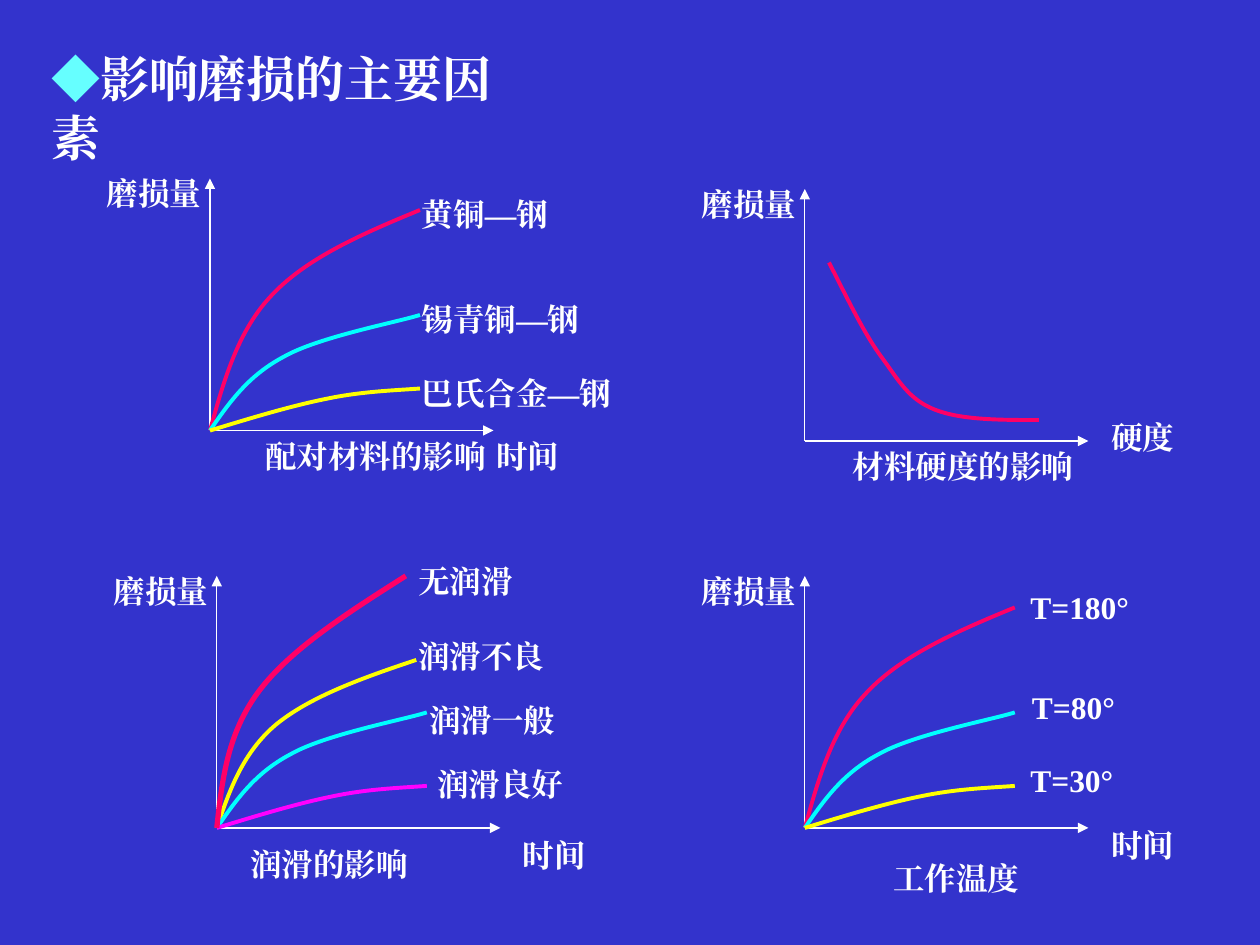
from pptx import Presentation
from pptx.dml.color import RGBColor
from pptx.enum.lang import MSO_LANGUAGE_ID
from pptx.enum.shapes import MSO_CONNECTOR
from pptx.enum.text import MSO_AUTO_SIZE
from pptx.oxml.ns import qn
from pptx.util import Inches, Pt
from lxml import etree

STRAIGHT = MSO_CONNECTOR.STRAIGHT
GROW = MSO_AUTO_SIZE.SHAPE_TO_FIT_TEXT
ENGLISH = MSO_LANGUAGE_ID.ENGLISH_US
COLS, ROWS = 120, 90
WHITE, BLUE, AQUA = "FFFFFF", "3333CC", "66FFFF"
RED, CYAN, YELLOW, MAGENTA = "FF0066", "00FFFF", "FFFF00", "FF00FF"

# Curves: cells right of and above the axis origin; a start point, then
# three points (two handles and an end) for each Bezier segment.
STEEP = [(0, 0), (1.33, 4.8), (2.67, 9.6), (6, 13), (9.33, 16.5), (14.67, 18.8), (20, 21)]
MEDIUM = [(0, 0), (1.8, 2.6), (3.6, 5.2), (7, 7), (10.3, 8.9), (17.8, 10.3), (20, 11)]
FLAT = [(0, 0), (3.83, 1.17), (7.67, 2.33), (11, 3), (14.3, 3.7), (17.2, 3.8), (20, 4)]
POOR = [(0, 0), (1.2, 3.6), (2.5, 7.2), (5.65, 9.85), (8.9, 12.5), (13.9, 14.3), (19, 16)]
DRY = [(0, 0), (0.5, 4.5), (1, 9), (4, 13), (7, 17), (12.5, 20.5), (18, 24)]
FALLING = [(2.3, 17), (4, 13.7), (5.6, 10.3), (7.3, 8), (9, 5.7), (9.85, 4), (12.35, 3),
           (14.85, 2), (18.6, 2), (22.3, 2)]

# Each chart: origin, curves (points, colour, width), labels (text, right, above)
CHARTS = [
    ((20, 41),
     [(STEEP, RED, 2.25), (MEDIUM, CYAN, 2.25), (FLAT, YELLOW, 2.25)],
     [("黄铜—钢", 19, 23), ("锡青铜—钢", 19, 13), ("巴氏合金—钢", 19, 6),
      ("时间", 26.1, 0), ("配对材料的影响", 4.1, 0)]),
    ((76.65, 42),
     [(FALLING, RED, 2.25)],
     [("硬度", 28, 2.75), ("材料硬度的影响", 3.4, 0)]),
    ((20.65, 78.85),
     [(POOR, YELLOW, 2.25), (MEDIUM, CYAN, 2.25), (FLAT, MAGENTA, 2.25), (DRY, RED, 3)],
     [("无润滑", 18, 25.95), ("润滑不良", 18, 18.75), ("润滑一般", 19.05, 12.7),
      ("润滑良好", 19.8, 6.6), ("时间", 27.95, -0.2), ("润滑的影响", 2, -1.05)]),
    ((76.65, 78.85),
     [(STEEP, RED, 2.25), (MEDIUM, CYAN, 2.25), (FLAT, YELLOW, 2.25)],
     [("T=180°", 20.3, 23.4), ("T=80°", 20.45, 13.95), ("T=30°", 20.3, 7),
      ("时间", 28, 0.75), ("工作温度", 7.25, -2.4)]),
]


def rgb(color):
    return RGBColor.from_string(color)


class Deck:
    """Holds the style and the current slide; lengths are grid columns and rows."""

    font = "Times New Roman"

    def __init__(self):
        self.prs = Presentation()
        self.prs.slide_width, self.prs.slide_height = Inches(10), Inches(7.5)
        self.s = self.prs.slides.add_slide(self.prs.slide_layouts[6])
        fill = self.s.background.fill
        fill.solid()
        fill.fore_color.rgb = rgb(BLUE)

    def x(self, cols):
        return round(self.prs.slide_width * cols / COLS)

    def y(self, rows):
        return round(self.prs.slide_height * rows / ROWS)

    def text(self, runs, left, top, width, height, size):
        """Adds one paragraph made of (text, colour) runs."""
        sp = self.s.shapes.add_textbox(self.x(left), self.y(top), self.x(width), self.y(height))
        tf = sp.text_frame
        tf.word_wrap = True
        tf.auto_size = GROW
        p = tf.paragraphs[0]
        p.font.name, p.font.size, p.font.bold = self.font, Pt(size), True
        for words, color in runs:
            r = p.add_run()
            r.text = words
            r.font.color.rgb = rgb(color)
            r.font.language_id = ENGLISH
            etree.SubElement(r._r.get_or_add_rPr(), qn("a:ea"), typeface=self.font)

    def label(self, words, left, top):
        """Sizes the box to its words: wide characters, or narrow ones with some slack."""
        width = len(words) * 1.56 + 2 if words.startswith("T=") else len(words) * 3
        self.text([(words, WHITE)], left, top, width + 2.6, 4.8, 18)

    def arrow(self, x1, y1, x2, y2):
        sp = self.s.shapes.add_connector(STRAIGHT, self.x(x1), self.y(y1), self.x(x2), self.y(y2))
        sp.line.color.rgb = rgb(WHITE)
        sp.line.width = Pt(0.75)
        etree.SubElement(sp.line._get_or_add_ln(), qn("a:tailEnd"), type="triangle")
        etree.SubElement(sp._element.spPr, qn("a:effectLst"))

    def curve(self, points, color, width):
        """Draws Bezier segments: every three line points become one curve."""
        pts = [(self.x(a), self.y(b)) for a, b in points]
        builder = self.s.shapes.build_freeform(*pts[0])
        builder.add_line_segments(pts[1:], close=False)
        sp = builder.convert_to_shape()
        steps = list(sp._element.iter(qn("a:lnTo")))
        for i in range(0, len(steps), 3):
            steps[i].tag = qn("a:cubicBezTo")
            for step in steps[i + 1:i + 3]:
                steps[i].append(step[0])
                step.getparent().remove(step)
        sp.fill.background()
        sp.line.color.rgb = rgb(color)
        sp.line.width = Pt(width)
        sp.shadow.inherit = False

    def chart(self, origin, curves, labels):
        x0, y0 = origin
        self.arrow(x0, y0, x0, y0 - 24)
        self.arrow(x0, y0, x0 + 27, y0)
        for points, color, width in curves:
            self.curve([(x0 + a, y0 - b) for a, b in points], color, width)
        for words, right, above in [("磨损量", -11, 25), *labels]:
            self.label(words, x0 + right, y0 - above)


def main():
    deck = Deck()
    deck.text([("◆", AQUA), ("影响磨损的主要因素", WHITE)], 3.7, 4, 47.9, 6.9, 28)
    for origin, curves, labels in CHARTS:
        deck.chart(origin, curves, labels)
    deck.prs.save("out.pptx")


if __name__ == "__main__":
    main()
